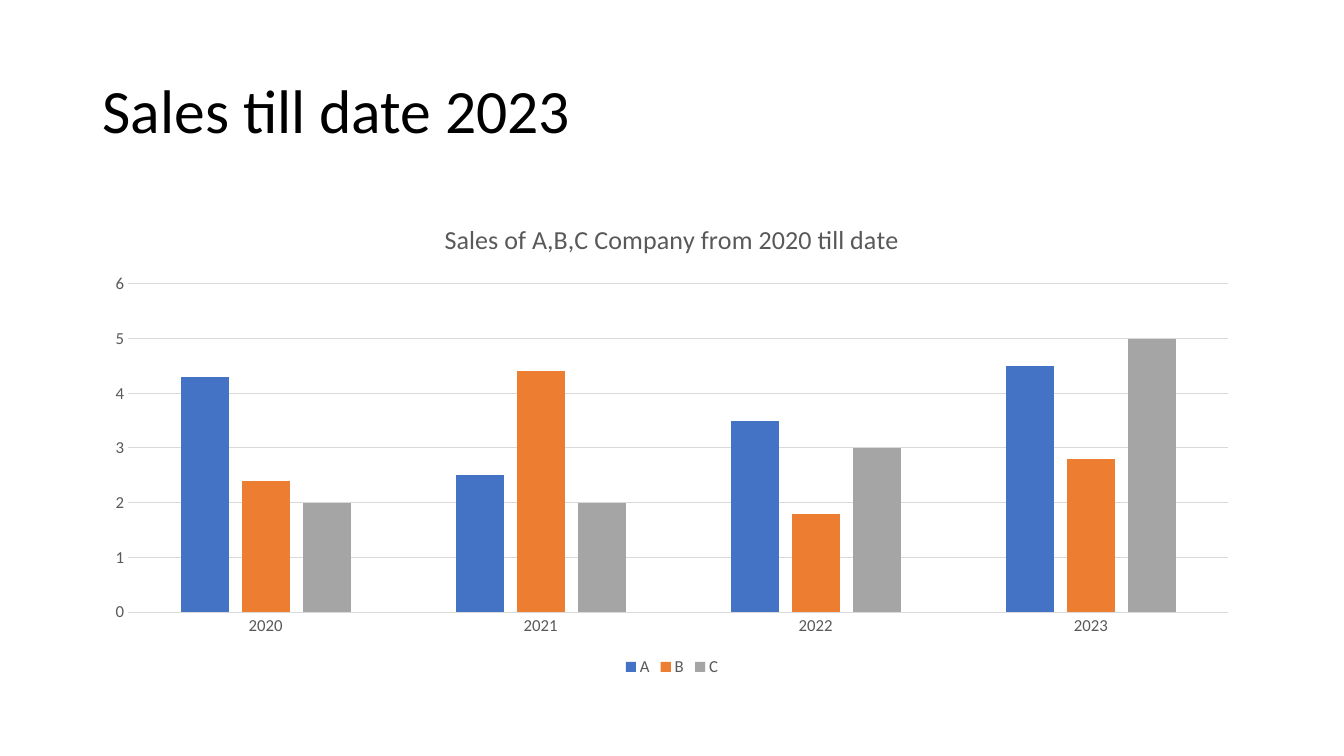
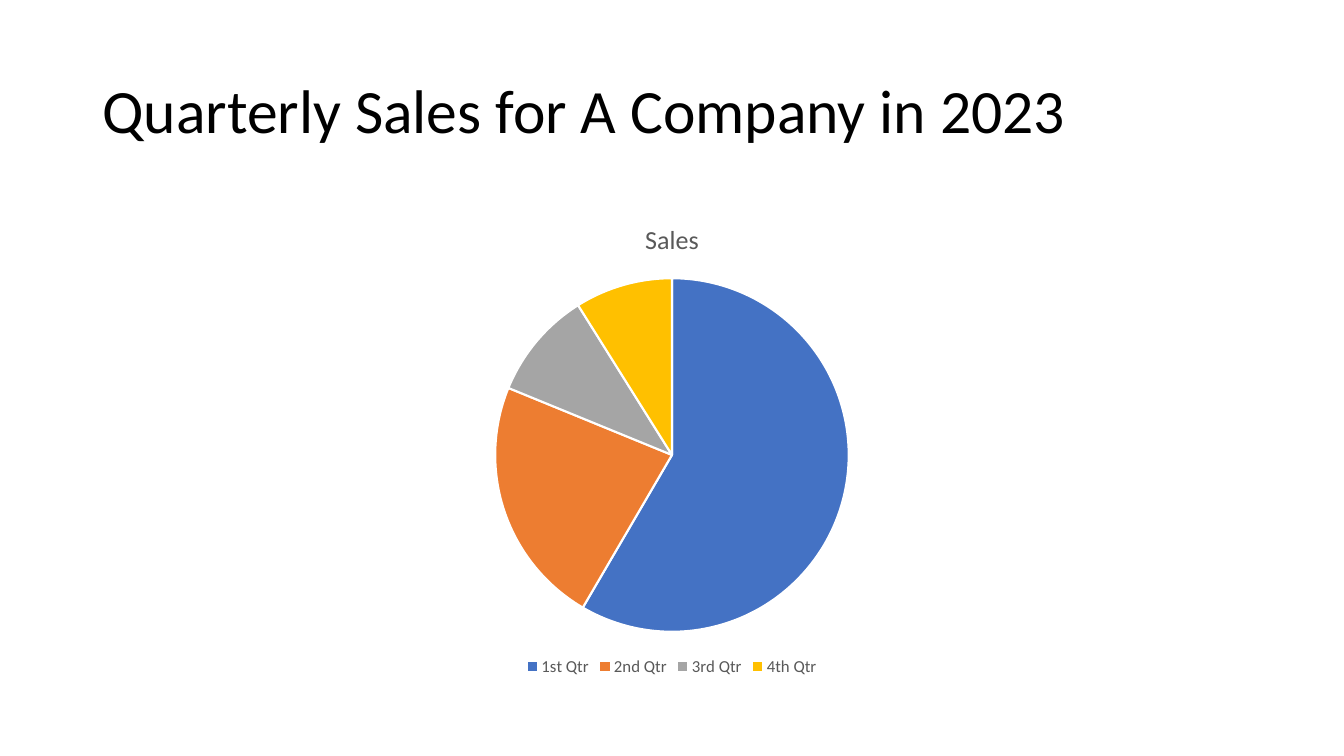
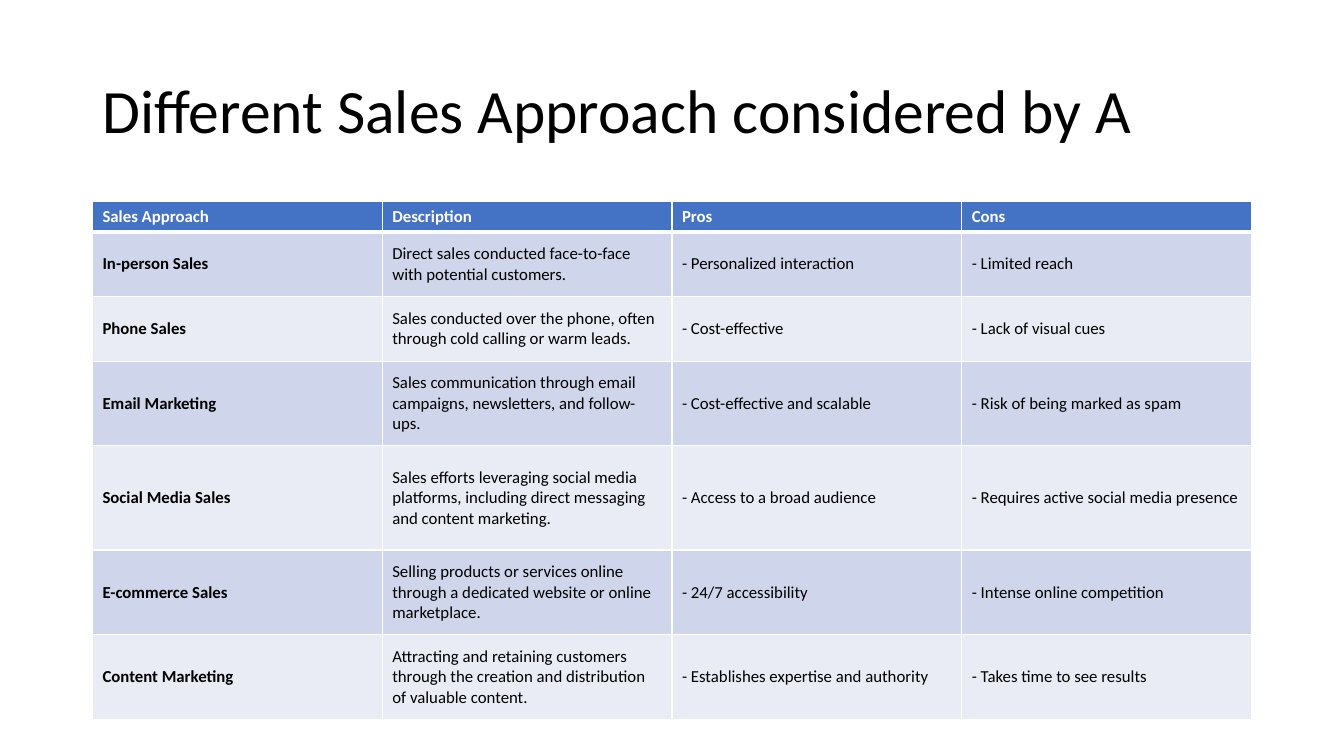
from lxml.etree import SubElement
from pptx import Presentation
from pptx.chart.data import CategoryChartData
from pptx.dml.color import RGBColor
from pptx.enum.chart import XL_CHART_TYPE, XL_LEGEND_POSITION, XL_TICK_MARK
from pptx.enum.text import MSO_ANCHOR, PP_ALIGN
from pptx.oxml.ns import qn
from pptx.util import Cm, Pt

FONT = "Calibri"
BLACK, WHITE, GREY, RULE = "000000", "FFFFFF", "595959", "D9D9D9"
HEAD, BANDS = "4472C4", ("CFD5EA", "E9EBF5")
HUES = (HEAD, "ED7D31", "A5A5A5", "FFC000")
LEFT, WIDE = 2.33, 29.21
TITLE_BOX = (LEFT, 1.01, WIDE, 3.68)
CHART_BOX = (LEFT, 5.07, WIDE, 12.09)

YEARS = {
    "head": "Sales till date 2023",
    "title": "Sales of A,B,C Company from 2020 till date",
    "cats": ("2020", "2021", "2022", "2023"),
    "rows": {"A": (4.3, 2.5, 3.5, 4.5),
             "B": (2.4, 4.4, 1.8, 2.8),
             "C": (2, 2, 3, 5)},
}
QUARTERS = {
    "head": "Quarterly Sales for A Company in 2023",
    "title": "Sales",
    "cats": ("1st Qtr", "2nd Qtr", "3rd Qtr", "4th Qtr"),
    "rows": {"Sales": (59, 23, 10, 9)},
}
WAYS_HEAD = "Different Sales Approach considered by A"
WAYS = (
    ("Sales Approach", "Description", "Pros", "Cons"),
    ("In-person Sales",
     "Direct sales conducted face-to-face with potential customers.",
     "- Personalized interaction", "- Limited reach"),
    ("Phone Sales",
     "Sales conducted over the phone, often through cold calling or warm leads.",
     "- Cost-effective", "- Lack of visual cues"),
    ("Email Marketing",
     "Sales communication through email campaigns, newsletters, and follow-ups.",
     "- Cost-effective and scalable", "- Risk of being marked as spam"),
    ("Social Media Sales",
     "Sales efforts leveraging social media platforms, including direct "
     "messaging and content marketing.",
     "- Access to a broad audience", "- Requires active social media presence"),
    ("E-commerce Sales",
     "Selling products or services online through a dedicated website or "
     "online marketplace.",
     "- 24/7 accessibility", "- Intense online competition"),
    ("Content Marketing",
     "Attracting and retaining customers through the creation and "
     "distribution of valuable content.",
     "- Establishes expertise and authority", "- Takes time to see results"),
)
HEIGHTS = (0.72, 1.63, 1.63, 2.13, 2.63, 2.13, 2.13)


def rgb(code):
    """Turn a hex string into a colour."""
    return RGBColor.from_string(code)


def style(font, size, code, bold=False):
    """Set face, size, colour and weight of a font."""
    font.name, font.size, font.bold = FONT, Pt(size), bold
    font.color.rgb = rgb(code)


def paint(part, code):
    """Fill a part with one colour."""
    part.fill.solid()
    part.fill.fore_color.rgb = rgb(code)


def rule(line, code, width):
    """Give a line its colour and width."""
    line.color.rgb = rgb(code)
    line.width = Pt(width)


def write(para, text, *look):
    """Add one styled run to a paragraph."""
    run = para.add_run()
    run.text = text
    style(run.font, *look)


def new_slide(deck, head):
    """Add a slide with its title."""
    slide = deck.slides.add_slide(deck.slide_layouts[5])
    title = slide.shapes.title
    title.left, title.top, title.width, title.height = map(Cm, TITLE_BOX)
    title.text_frame.vertical_anchor = MSO_ANCHOR.MIDDLE
    para = title.text_frame.paragraphs[0]
    para.alignment, para.line_spacing = PP_ALIGN.LEFT, 0.9
    write(para, head, 44, BLACK)
    return slide


def add_plot(deck, facts, kind):
    """Add a slide with a titled chart and return the chart."""
    slide = new_slide(deck, facts["head"])
    data = CategoryChartData()
    data.categories = facts["cats"]
    for name, vals in facts["rows"].items():
        data.add_series(name, vals)
    chart = slide.shapes.add_chart(kind, *map(Cm, CHART_BOX), data).chart
    style(chart.font, 10, BLACK)
    chart.has_title = True
    write(chart.chart_title.text_frame.paragraphs[0], facts["title"], 18.6, GREY)
    chart.has_legend = True
    chart.legend.position = XL_LEGEND_POSITION.BOTTOM
    chart.legend.include_in_layout = False
    style(chart.legend.font, 12, GREY)
    return chart


def add_bars(deck):
    """Build the slide of yearly columns."""
    chart = add_plot(deck, YEARS, XL_CHART_TYPE.COLUMN_CLUSTERED)
    plot = chart.plots[0]
    plot.gap_width, plot.overlap, plot.vary_by_categories = 219, -27, False
    for bar, hue in zip(plot.series, HUES):
        paint(bar.format, hue)
    cats, vals = chart.category_axis, chart.value_axis
    for axis in (cats, vals):
        axis.major_tick_mark = axis.minor_tick_mark = XL_TICK_MARK.NONE
        style(axis.tick_labels.font, 12, GREY)
    rule(cats.format.line, RULE, 0.75)
    vals.format.line.fill.background()
    vals.minimum_scale, vals.maximum_scale, vals.major_unit = 0, 6, 1
    rule(vals.major_gridlines.format.line, RULE, 0.75)


def add_pie(deck):
    """Build the slide of quarterly shares."""
    chart = add_plot(deck, QUARTERS, XL_CHART_TYPE.PIE)
    points = chart.plots[0].series[0].points
    for num, hue in enumerate(HUES):
        part = points[num].format
        paint(part, hue)
        rule(part.line, WHITE, 1.5)


def edge(cell, sides):
    """Draw white borders, given as side and width in points."""
    props = cell._tc.get_or_add_tcPr()
    for side, width in sides.items():
        line = SubElement(props, qn("a:ln" + side), w=str(Pt(width)))
        fill = SubElement(line, qn("a:solidFill"))
        SubElement(fill, qn("a:srgbClr"), val=WHITE)


def add_ways(deck):
    """Build the slide with the table of approaches."""
    slide = new_slide(deck, WAYS_HEAD)
    table = slide.shapes.add_table(
        len(WAYS), len(WAYS[0]), Cm(LEFT), Cm(CHART_BOX[1]),
        Cm(WIDE), Cm(sum(HEIGHTS))).table
    for row, (texts, high) in enumerate(zip(WAYS, HEIGHTS)):
        table.rows[row].height = Cm(high)
        top = row == 0
        for col, text in enumerate(texts):
            cell = table.cell(row, col)
            edge(cell, {"L": 1, "R": 1, "T": 3 if row == 1 else 1,
                        "B": 3 if top else 1})
            paint(cell, HEAD if top else BANDS[(row - 1) % 2])
            cell.vertical_anchor = MSO_ANCHOR.TOP if top else MSO_ANCHOR.MIDDLE
            write(cell.text_frame.paragraphs[0], text, 12,
                  WHITE if top else BLACK, top or col == 0)


def main():
    """Build and save the deck."""
    deck = Presentation()
    deck.slide_width, deck.slide_height = Cm(33.87), Cm(19.05)
    add_bars(deck)
    add_pie(deck)
    add_ways(deck)
    deck.save("out.pptx")


main()
